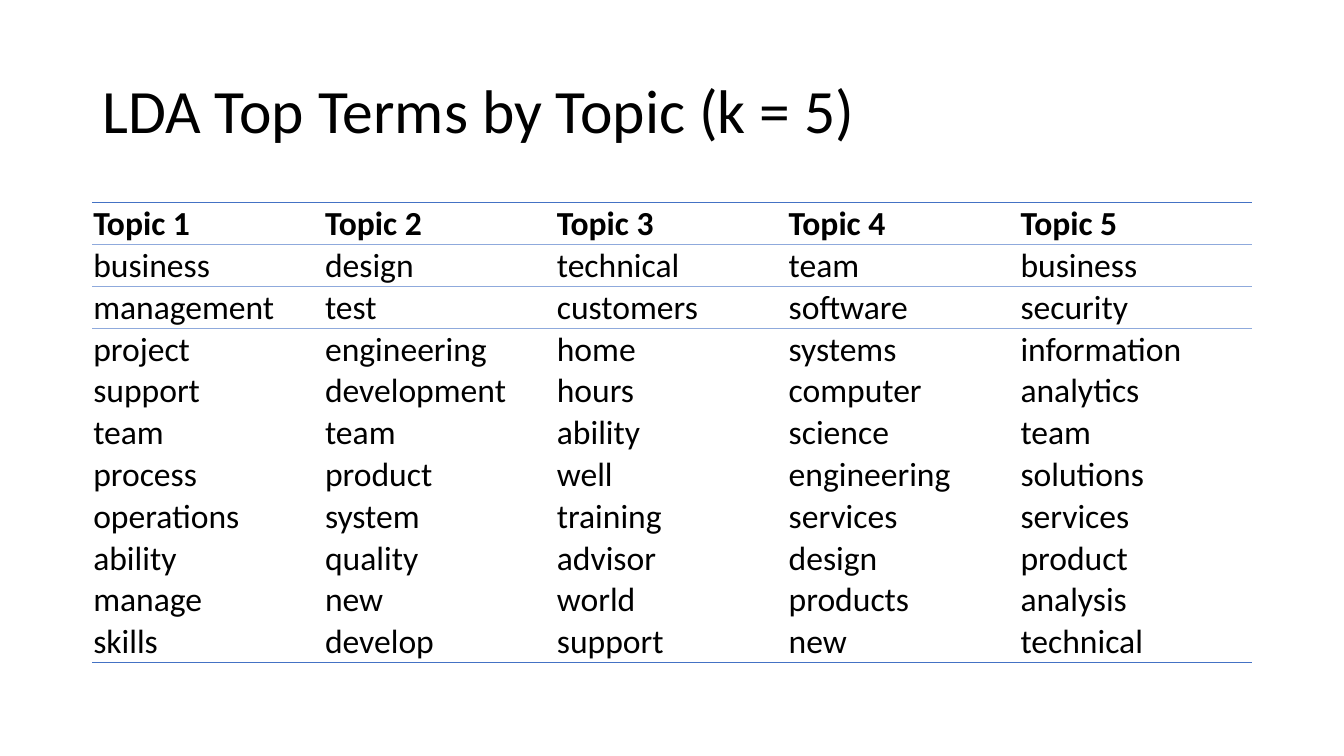
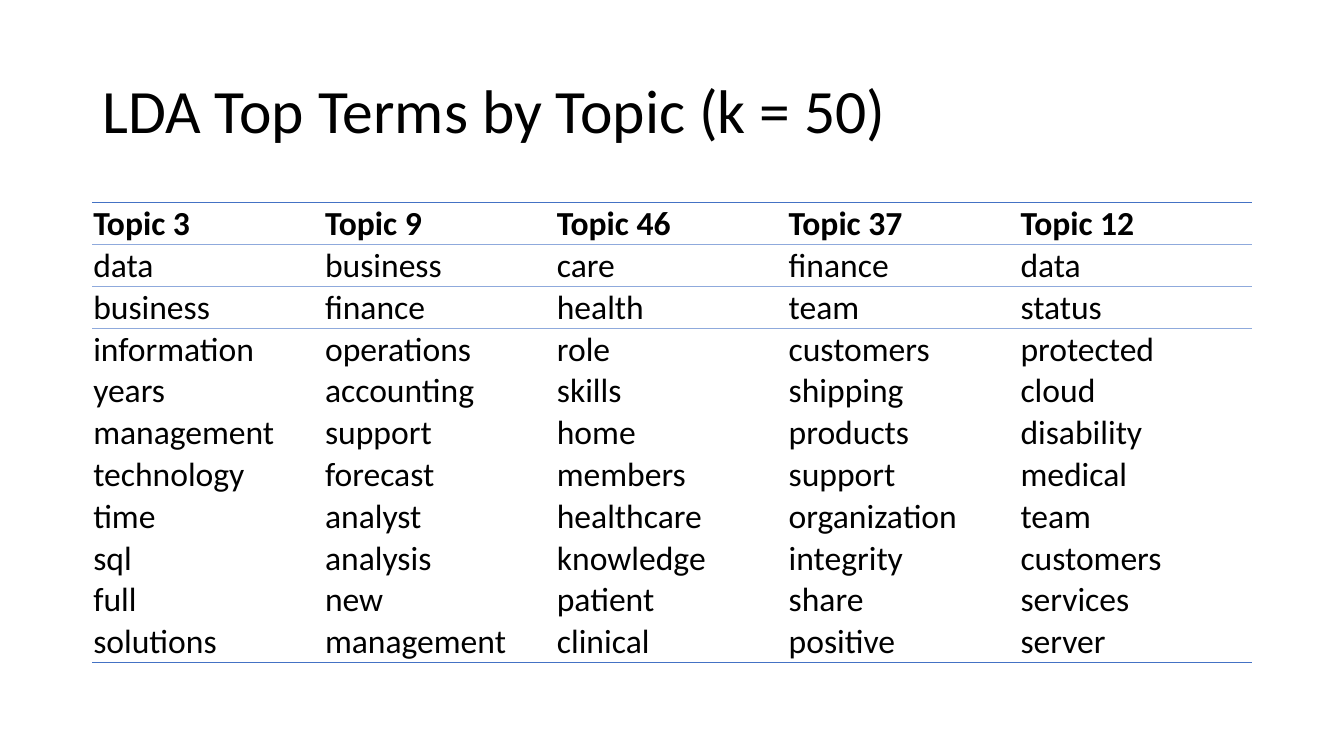
from lxml import etree
from pptx import Presentation
from pptx.dml.color import RGBColor
from pptx.enum import text
from pptx.oxml import ns
from pptx.util import Cm, Pt

BLACK = RGBColor(0x00, 0x00, 0x00)
BLUE = RGBColor(0x44, 0x72, 0xC4)
LIGHT_BLUE = RGBColor(0x8F, 0xAA, 0xDC)
FONT = "Calibri"
NO_STYLE = "{2D5ABB26-0587-4C30-8999-92F81FD0307C}"
LEFT, WIDTH = Cm(2.33), Cm(29.21)
RULES = {0: BLUE, 1: LIGHT_BLUE, 2: LIGHT_BLUE, 11: BLUE}

TOPICS = [
    ("LDA Top Terms by Topic (k = 5)", {
        "Topic 1": "business management project support team process operations ability manage skills",
        "Topic 2": "design test engineering development team product system quality new develop",
        "Topic 3": "technical customers home hours ability well training advisor world support",
        "Topic 4": "team software systems computer science engineering services design products new",
        "Topic 5": "business security information analytics team solutions services product analysis technical",
    }),
    ("LDA Top Terms by Topic (k = 50)", {
        "Topic 3": "data business information years management technology time sql full solutions",
        "Topic 9": "business finance operations accounting support forecast analyst analysis new management",
        "Topic 46": "care health role skills home members healthcare knowledge patient clinical",
        "Topic 37": "finance team customers shipping products support organization integrity share positive",
        "Topic 12": "data status protected cloud disability medical team customers services server",
    }),
]


def add_run(p, words, size, bold=False):
    r = p.add_run()
    r.text = words
    r.font.name = FONT
    r.font.size = Pt(size)
    r.font.bold = bold
    r.font.color.rgb = BLACK


def add_border(cell, side, color):
    ln = etree.SubElement(cell._tc.get_or_add_tcPr(), ns.qn("a:" + side), w=str(Pt(1)))
    fill = etree.SubElement(ln, ns.qn("a:solidFill"))
    etree.SubElement(fill, ns.qn("a:srgbClr"), val=str(color))


prs = Presentation()
prs.slide_width, prs.slide_height = Cm(33.87), Cm(19.05)

for heading, topics in TOPICS:
    s = prs.slides.add_slide(prs.slide_layouts[5])
    title = s.shapes.title
    title.left, title.top, title.width, title.height = LEFT, Cm(1.02), WIDTH, Cm(3.68)
    tf = title.text_frame
    tf.vertical_anchor = text.MSO_ANCHOR.MIDDLE
    p = tf.paragraphs[0]
    p.alignment = text.PP_ALIGN.LEFT
    p.line_spacing = 0.9
    add_run(p, heading, 44)

    columns = [[topic] + terms.split() for topic, terms in topics.items()]
    height = Cm(11.46)
    frame = s.shapes.add_table(len(columns[0]), len(columns), LEFT, Cm(5.11), WIDTH, height)
    table = frame.table
    table.horz_banding = False
    table._tbl.tblPr.find(ns.qn("a:tableStyleId")).text = NO_STYLE
    for row in table.rows:
        row.height = Cm(0.84)
    frame.height = height

    for col, entries in enumerate(columns):
        for row, entry in enumerate(entries):
            cell = table.cell(row, col)
            for side, rule in (("lnT", row), ("lnB", row + 1)):
                if rule in RULES:
                    add_border(cell, side, RULES[rule])
            cell.fill.background()
            cell.margin_left = cell.margin_right = cell.margin_top = Cm(0.02)
            cell.margin_bottom = 0
            cell.vertical_anchor = text.MSO_ANCHOR.BOTTOM
            add_run(cell.text_frame.paragraphs[0], entry, 24, row == 0)

prs.save("out.pptx")
